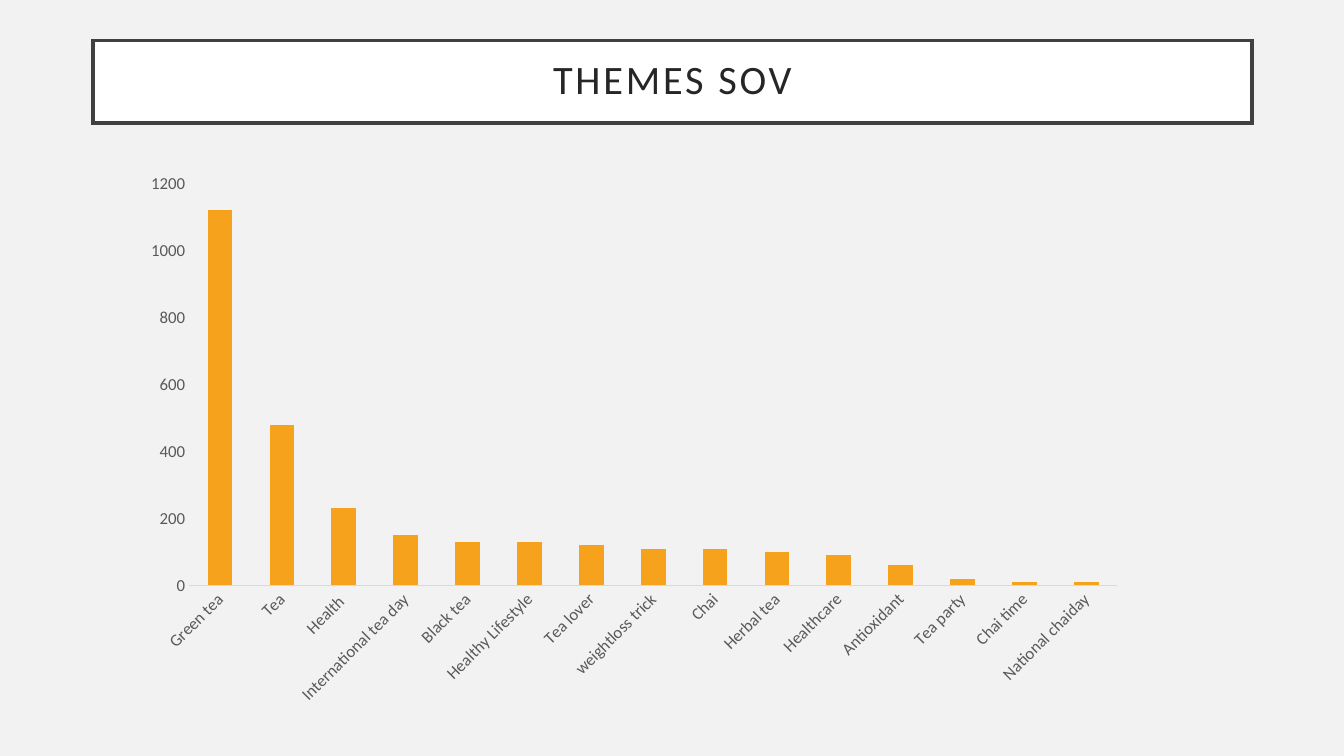
"""Build a slide with a boxed title and a column chart of theme mentions."""
from lxml import etree
from pptx import Presentation
from pptx.chart.data import CategoryChartData
from pptx.dml.color import RGBColor
from pptx.enum.chart import XL_CHART_TYPE as ChartType, XL_TICK_MARK as TickMark
from pptx.enum.text import MSO_ANCHOR, MSO_AUTO_SIZE, PP_ALIGN
from pptx.oxml.ns import qn
from pptx.util import Inches, Pt

BACKGROUND = RGBColor(0xF2, 0xF2, 0xF2)
WHITE = RGBColor(0xFF, 0xFF, 0xFF)
BORDER = RGBColor(0x40, 0x40, 0x40)
TITLE_TEXT = RGBColor(0x26, 0x26, 0x26)
AXIS_TEXT = RGBColor(0x59, 0x59, 0x59)
AXIS_LINE = RGBColor(0xD9, 0xD9, 0xD9)
ORANGE = RGBColor(0xF6, 0xA2, 0x1D)
FONT = "Calibri"

THEMES = {
    "Green tea": 1120,
    "Tea": 480,
    "Health ": 230,
    "International tea day": 150,
    "Black tea": 130,
    "Healthy Lifestyle": 130,
    "Tea lover": 120,
    "weightloss trick": 110,
    "Chai": 110,
    "Herbal tea": 100,
    "Healthcare": 90,
    "Antioxidant": 60,
    "Tea party": 20,
    "Chai time": 10,
    "National chaiday": 10,
}

deck = Presentation()
deck.slide_width, deck.slide_height = Inches(13.33), Inches(7.5)
page = deck.slides.add_slide(deck.slide_layouts[5])
page.background.fill.solid()
page.background.fill.fore_color.rgb = BACKGROUND

title = page.shapes.title
title.left, title.top = Inches(0.92), Inches(0.4)
title.width, title.height = Inches(11.5), Inches(0.82)
title.fill.solid()
title.fill.fore_color.rgb = WHITE
title.line.color.rgb = BORDER
title.line.width = Pt(2.5)
outline = title._element.spPr.find(qn("a:ln"))
etree.SubElement(outline, qn("a:miter")).set("lim", "800000")
frame = title.text_frame
frame.text = "THEMES SOV"
frame.word_wrap = True
frame.auto_size = MSO_AUTO_SIZE.NONE
frame.vertical_anchor = MSO_ANCHOR.MIDDLE
frame.margin_left = frame.margin_right = Inches(0.2)
frame.margin_top = frame.margin_bottom = Inches(0.2)
para = frame.paragraphs[0]
para.alignment = PP_ALIGN.CENTER
para.line_spacing = 0.9
para.font.name = FONT
para.font.size = Pt(28.8)
para.font.color.rgb = TITLE_TEXT
para.runs[0].font._element.set("spc", "200")

data = CategoryChartData()
data.categories = list(THEMES)
data.add_series("Series 1", list(THEMES.values()))
chart = page.shapes.add_chart(
    ChartType.COLUMN_STACKED,
    Inches(1.3), Inches(1.61), Inches(9.98), Inches(5.49), data,
).chart
chart.has_title = False
chart.has_legend = False
chart.font.name = FONT
chart.font.size = Pt(10)

plot = chart.plots[0]
plot.gap_width = 150
plot.overlap = 100
plot.vary_by_categories = False
columns = plot.series[0].format.fill
columns.solid()
columns.fore_color.rgb = ORANGE

for axis in (chart.category_axis, chart.value_axis):
    axis.has_major_gridlines = False
    axis.major_tick_mark = axis.minor_tick_mark = TickMark.NONE
    labels = axis.tick_labels.font
    labels.name = FONT
    labels.size = Pt(12)
    labels.color.rgb = AXIS_TEXT

chart.category_axis.format.line.color.rgb = AXIS_LINE
chart.category_axis.format.line.width = Pt(0.75)
chart.category_axis._element.find(qn("c:txPr")).find(qn("a:bodyPr")).set("rot", "-2700000")
chart.value_axis.format.line.fill.background()
chart.value_axis.minimum_scale = 0
chart.value_axis.maximum_scale = 1200
chart.value_axis.major_unit = 200

deck.save("out.pptx")
